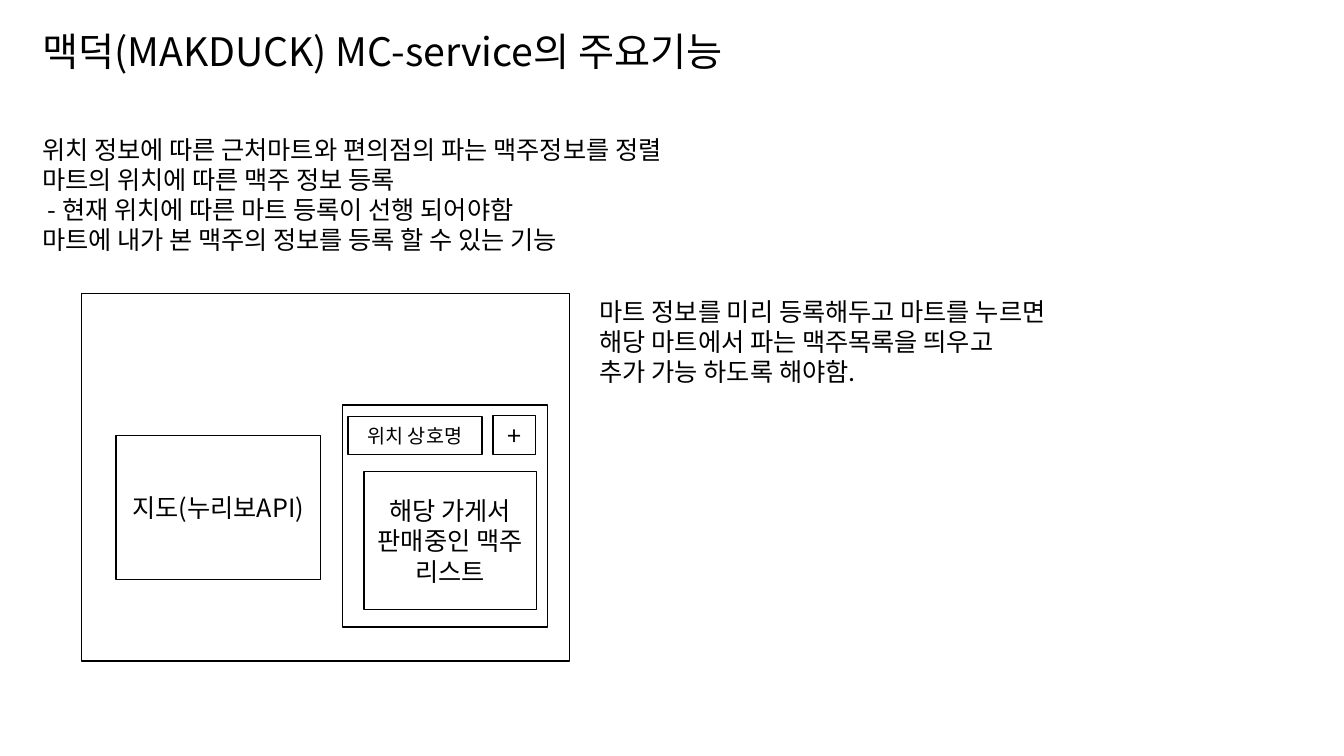
from lxml import etree
from pptx import Presentation
from pptx.dml.color import RGBColor
from pptx.enum.shapes import MSO_SHAPE
from pptx.enum.text import MSO_ANCHOR, MSO_AUTO_SIZE, PP_ALIGN
from pptx.oxml.ns import qn
from pptx.util import Inches, Pt

BLACK = RGBColor(0x00, 0x00, 0x00)
FONT = "Noto Sans CJK KR"
RECTANGLE = MSO_SHAPE.RECTANGLE
MIDDLE = MSO_ANCHOR.MIDDLE
CENTER = PP_ALIGN.CENTER
FIT_SHAPE = MSO_AUTO_SIZE.SHAPE_TO_FIT_TEXT

FEATURES = [
    "위치 정보에 따른 근처마트와 편의점의 파는 맥주정보를 정렬",
    "마트의 위치에 따른 맥주 정보 등록",
    " - 현재 위치에 따른 마트 등록이 선행 되어야함",
    "마트에 내가 본 맥주의 정보를 등록 할 수 있는 기능",
]
MART_NOTE = [
    "마트 정보를 미리 등록해두고 마트를 누르면",
    "해당 마트에서 파는 맥주목록을 띄우고",
    "추가 가능 하도록 해야함.",
]


def add_run(paragraph, text, size):
    """Add a run whose Latin and East Asian fonts are the same."""
    run = paragraph.add_run()
    run.text = text
    run.font.size = Pt(size)
    run.font.name = FONT
    run.font.color.rgb = BLACK
    east_asian = etree.Element(qn("a:ea"), typeface=FONT)
    run.font._element.find(qn("a:latin")).addnext(east_asian)


def add_text(slide, left, top, width, height, lines, size=18, wrap=False):
    box = slide.shapes.add_textbox(
        Inches(left), Inches(top), Inches(width), Inches(height))
    frame = box.text_frame
    frame.word_wrap = wrap
    frame.auto_size = FIT_SHAPE
    for index, line in enumerate(lines):
        paragraph = frame.add_paragraph() if index else frame.paragraphs[0]
        add_run(paragraph, line, size)


def add_panel(slide, left, top, width, height, label=None, size=18):
    """Add an outlined wireframe box, with a centred label if given."""
    panel = slide.shapes.add_shape(
        RECTANGLE, Inches(left), Inches(top), Inches(width), Inches(height))
    panel.shadow.inherit = False
    panel.fill.background()
    panel.line.color.rgb = BLACK
    panel.line.width = Pt(1)
    if label:
        frame = panel.text_frame
        frame.word_wrap = True
        frame.vertical_anchor = MIDDLE
        frame.paragraphs[0].alignment = CENTER
        add_run(frame.paragraphs[0], label, size)


def add_wireframe(slide):
    add_panel(slide, 0.81, 2.91, 4.84, 3.65)
    add_panel(slide, 1.15, 4.32, 2.03, 1.43, "지도(누리보API)")
    add_panel(slide, 3.4, 4.02, 2.03, 2.2)
    add_panel(slide, 4.89, 4.12, 0.42, 0.39, "+")
    add_panel(slide, 3.61, 4.68, 1.71, 1.37, "해당 가게서 판매중인 맥주 리스트")
    add_panel(slide, 3.45, 4.13, 1.33, 0.38, "위치 상호명", size=14)


def main():
    presentation = Presentation()
    presentation.slide_width = Inches(13.33)
    presentation.slide_height = Inches(7.5)
    slide = presentation.slides.add_slide(presentation.slide_layouts[6])

    add_text(slide, 0.32, 0.22, 8.48, 0.57,
             ["맥덕(MAKDUCK) MC-service의 주요기능"], size=28, wrap=True)
    add_text(slide, 0.32, 1.28, 7.14, 1.62, FEATURES)
    add_wireframe(slide)
    add_text(slide, 5.85, 2.89, 5.19, 1.01, MART_NOTE)

    presentation.save("out.pptx")


if __name__ == "__main__":
    main()
